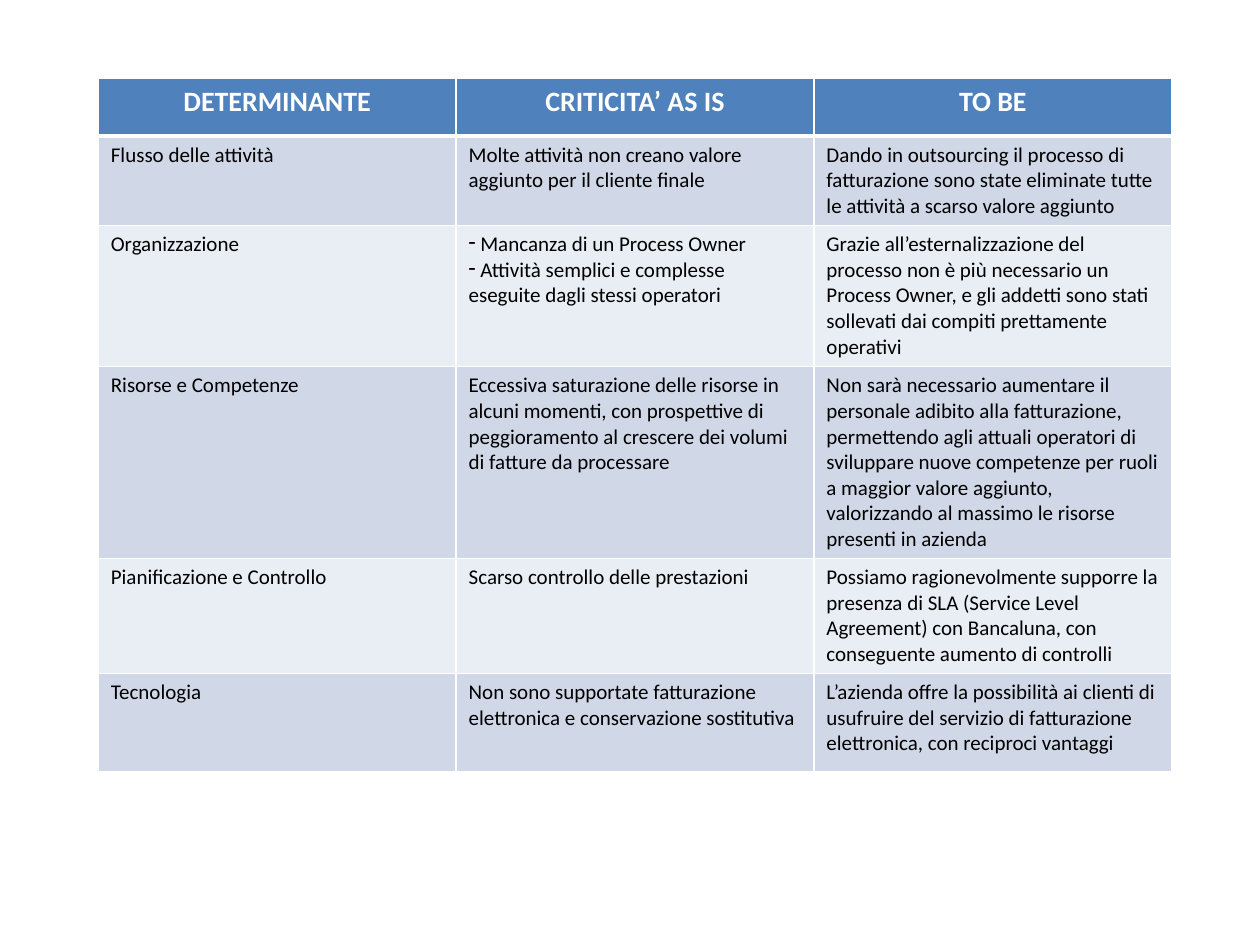
from lxml import etree
from pptx import Presentation
from pptx.dml.color import RGBColor
from pptx.enum.text import PP_ALIGN
from pptx.oxml.ns import qn
from pptx.util import Inches, Pt

CENTER, LEFT = PP_ALIGN.CENTER, PP_ALIGN.LEFT
WHITE = RGBColor(0xFF, 0xFF, 0xFF)
BLACK = RGBColor(0, 0, 0)
HEADER_BLUE = RGBColor(0x4F, 0x81, 0xBD)
BANDS = [RGBColor(0xD0, 0xD8, 0xE8), RGBColor(0xE9, 0xED, 0xF4)]
FONT = "Calibri"
BLANK_LAYOUT = 6

COLUMN_WIDTH = 2.84
ROW_HEIGHTS = [0.46, 0.71, 1.12, 1.52, 0.91, 0.78]
HEADERS = ["DETERMINANTE", "CRITICITA’ AS IS", "TO BE"]
# A list in a cell becomes dashed paragraphs.
ROWS = [
    ["Flusso delle attività",
     "Molte attività non creano valore aggiunto per il cliente finale",
     "Dando in outsourcing il processo di fatturazione sono state eliminate "
     "tutte le attività a scarso valore aggiunto"],
    ["Organizzazione",
     [" Mancanza di un Process Owner",
      " Attività semplici e complesse eseguite dagli stessi operatori"],
     "Grazie all’esternalizzazione del processo non è più necessario un "
     "Process Owner, e gli addetti sono stati sollevati dai compiti "
     "prettamente operativi"],
    ["Risorse e Competenze",
     "Eccessiva saturazione delle risorse in alcuni momenti, con prospettive "
     "di peggioramento al crescere dei volumi di fatture da processare",
     "Non sarà necessario aumentare il personale adibito alla fatturazione, "
     "permettendo agli attuali operatori di sviluppare nuove competenze per "
     "ruoli a maggior valore aggiunto, valorizzando al massimo le risorse "
     "presenti in azienda"],
    ["Pianificazione e Controllo",
     "Scarso controllo delle prestazioni",
     "Possiamo ragionevolmente supporre la presenza di SLA (Service Level "
     "Agreement) con Bancaluna, con conseguente aumento di controlli"],
    ["Tecnologia",
     "Non sono supportate fatturazione elettronica e conservazione sostitutiva",
     "L’azienda offre la possibilità ai clienti di usufruire del servizio di "
     "fatturazione elettronica, con reciproci vantaggi"],
]


def set_borders(cell, widths):
    """Draw white borders; widths maps a side (L, R, T, B) to points."""
    properties = cell._tc.get_or_add_tcPr()
    for side, width in widths.items():
        line = etree.SubElement(properties, qn(f"a:ln{side}"), w=str(Pt(width)))
        fill = etree.SubElement(line, qn("a:solidFill"))
        etree.SubElement(fill, qn("a:srgbClr"), val=str(WHITE))


def add_dash(para):
    properties = para._p.get_or_add_pPr()
    etree.SubElement(properties, qn("a:buChar"), char="-")


def fill_cell(cell, content, fill, color, size, bold, align):
    dashed = isinstance(content, list)
    lines = content if dashed else [content]
    cell.text = "\n".join(lines)
    for para in cell.text_frame.paragraphs:
        para.alignment = align
        if dashed:
            add_dash(para)
        para.font.name = FONT
        para.font.size = Pt(size)
        para.font.bold = bold
        para.font.color.rgb = color
    cell.fill.solid()
    cell.fill.fore_color.rgb = fill


def add_comparison_table(page):
    table = page.shapes.add_table(
        len(ROW_HEIGHTS), len(HEADERS), Inches(0.78), Inches(0.62),
        Inches(COLUMN_WIDTH * len(HEADERS)), Inches(sum(ROW_HEIGHTS))).table
    for column in table.columns:
        column.width = Inches(COLUMN_WIDTH)
    for row, height in zip(table.rows, ROW_HEIGHTS):
        row.height = Inches(height)

    for r, contents in enumerate([HEADERS] + ROWS):
        for c, content in enumerate(contents):
            cell = table.cell(r, c)
            set_borders(cell, {"L": 1, "R": 1,
                               "T": 3 if r == 1 else 1,
                               "B": 3 if r == 0 else 1})
            if r == 0:
                fill_cell(cell, content, HEADER_BLUE, WHITE, 16, True, CENTER)
            else:
                fill_cell(cell, content, BANDS[(r - 1) % 2], BLACK, 12, False, LEFT)


def main():
    deck = Presentation()
    deck.slide_width = Inches(10)
    deck.slide_height = Inches(7.5)
    page = deck.slides.add_slide(deck.slide_layouts[BLANK_LAYOUT])
    add_comparison_table(page)
    deck.save("out.pptx")


if __name__ == "__main__":
    main()
